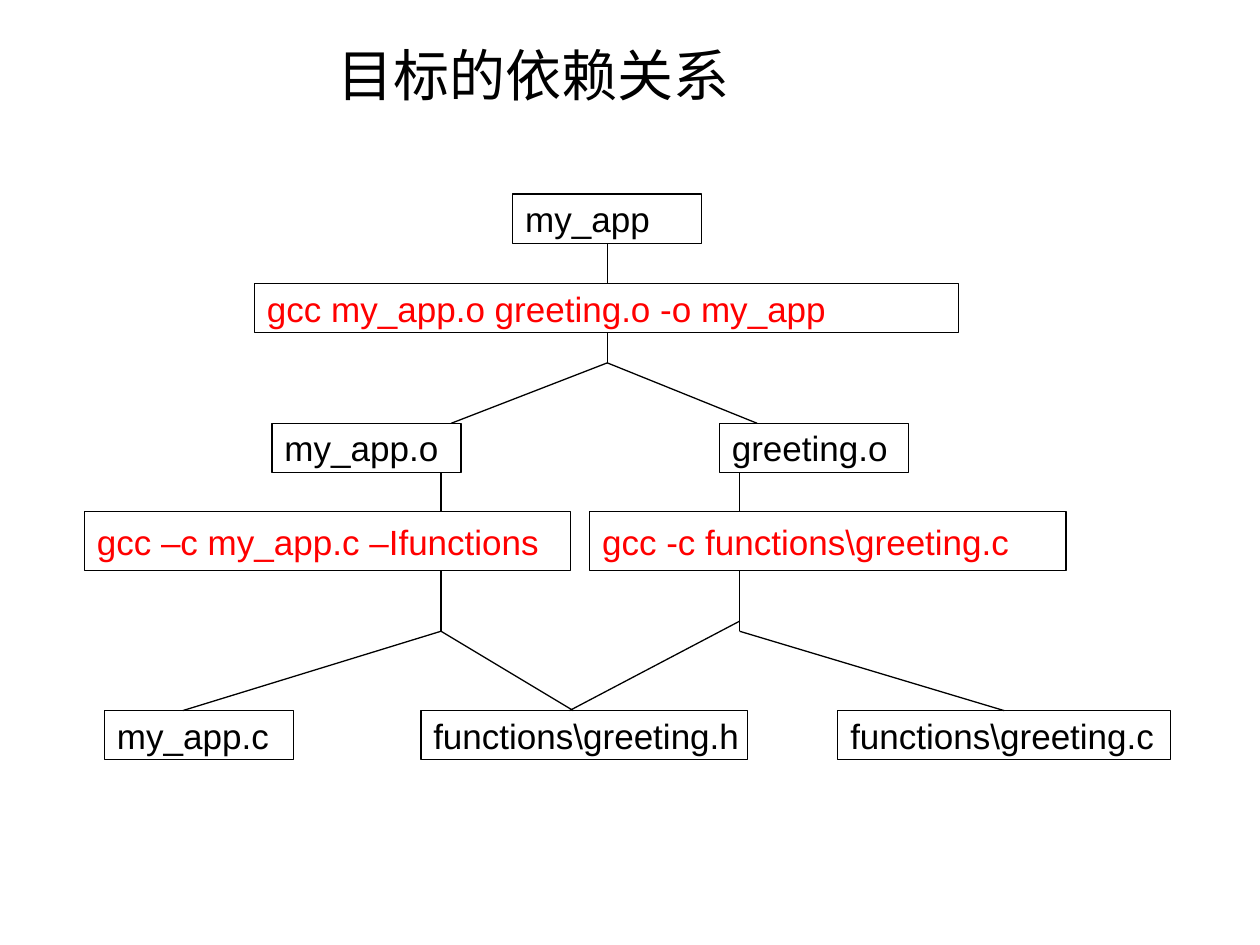
"""Build a slide with the dependency tree of a makefile's targets."""
from pptx import Presentation
from pptx.dml.color import RGBColor
from pptx.enum.shapes import MSO_CONNECTOR, MSO_SHAPE
from pptx.enum.text import MSO_ANCHOR, PP_ALIGN
from pptx.oxml.ns import qn
from pptx.util import Inches, Pt
from lxml.etree import SubElement

COLORS = {"white": "FFFFFF", "black": "000000", "command": "FF0000"}
FONT = "Arial"
TITLE = "目标的依赖关系"
FILE_HEIGHT = 0.39

FILES = [
    ("my_app", 4.07, 1.54, 1.5),
    ("my_app.o", 2.16, 3.36, 1.5),
    ("greeting.o", 5.71, 3.36, 1.5),
    ("my_app.c", 0.83, 5.64, 1.5),
    ("functions\\greeting.h", 3.34, 5.64, 2.59),
    ("functions\\greeting.c", 6.65, 5.64, 2.64),
]
COMMANDS = [
    ("gcc my_app.o greeting.o -o my_app", 2.02, 2.25, 5.59, FILE_HEIGHT),
    ("gcc –c my_app.c –Ifunctions", 0.67, 4.06, 3.86, 0.47),
    ("gcc -c functions\\greeting.c", 4.68, 4.06, 3.78, 0.47),
]
APP_FORK, LEFT_FORK, RIGHT_FORK = (4.82, 2.88), (3.5, 5.01), (5.87, 5.01)
LINES = [
    (APP_FORK, (3.58, 3.36)),
    (APP_FORK, (6.01, 3.36)),
    ((3.5, 3.75), LEFT_FORK),
    (LEFT_FORK, (1.45, 5.64)),
    (LEFT_FORK, (4.55, 5.64)),
    ((5.87, 3.75), RIGHT_FORK),
    ((5.87, 4.93), (4.52, 5.64)),
]


def color(name):
    return RGBColor.from_string(COLORS[name])


def write(box, text, size, ink):
    frame = box.text_frame
    frame.word_wrap = True
    frame.vertical_anchor = MSO_ANCHOR.MIDDLE
    para = frame.paragraphs[0]
    para.alignment = PP_ALIGN.LEFT
    span = para.add_run()
    span.text = text
    span.font.name = FONT
    span.font.size = Pt(size)
    span.font.color.rgb = color(ink)


def add_box(page, left, top, width, height, outline="black"):
    box = page.shapes.add_shape(
        MSO_SHAPE.RECTANGLE, *map(Inches, (left, top, width, height)))
    box.shadow.inherit = False
    box.fill.solid()
    box.fill.fore_color.rgb = color("white")
    box.line.color.rgb = color(outline)
    box.line.width = Pt(0.75)
    return box


def add_label(page, text, left, top, width, height, ink):
    box = add_box(page, left, top, width, height)
    box.text_frame.margin_right = 0
    write(box, text, 20, ink)
    return box


def add_line(page, start, end):
    line = page.shapes.add_connector(
        MSO_CONNECTOR.STRAIGHT, *map(Inches, (*start, *end)))
    line.line.color.rgb = color("black")
    line.line.width = Pt(0.75)
    SubElement(line._element.spPr, qn("a:effectLst"))
    return line


def main():
    deck = Presentation()
    deck.slide_width, deck.slide_height = Inches(10), Inches(7.5)
    page = deck.slides.add_slide(deck.slide_layouts[5])

    title = page.shapes.title
    title.left, title.top = Inches(2.58), Inches(0.23)
    title.width, title.height = Inches(6.54), Inches(0.71)
    write(title, TITLE, 32, "black")

    add_box(page, 0.27, 1.15, 9.21, 5.04, "white")
    boxes = {
        text: add_label(page, text, left, top, width, FILE_HEIGHT, "black")
        for text, left, top, width in FILES
    }
    for start, end in LINES:
        add_line(page, start, end)
    stem = add_line(page, (4.82, 1.93), APP_FORK)
    stem.begin_connect(boxes["my_app"], 2)
    branch = add_line(page, RIGHT_FORK, (7.97, 5.64))
    branch.end_connect(boxes["functions\\greeting.c"], 0)
    for command in COMMANDS:
        add_label(page, *command, "command")

    deck.save("out.pptx")


if __name__ == "__main__":
    main()
